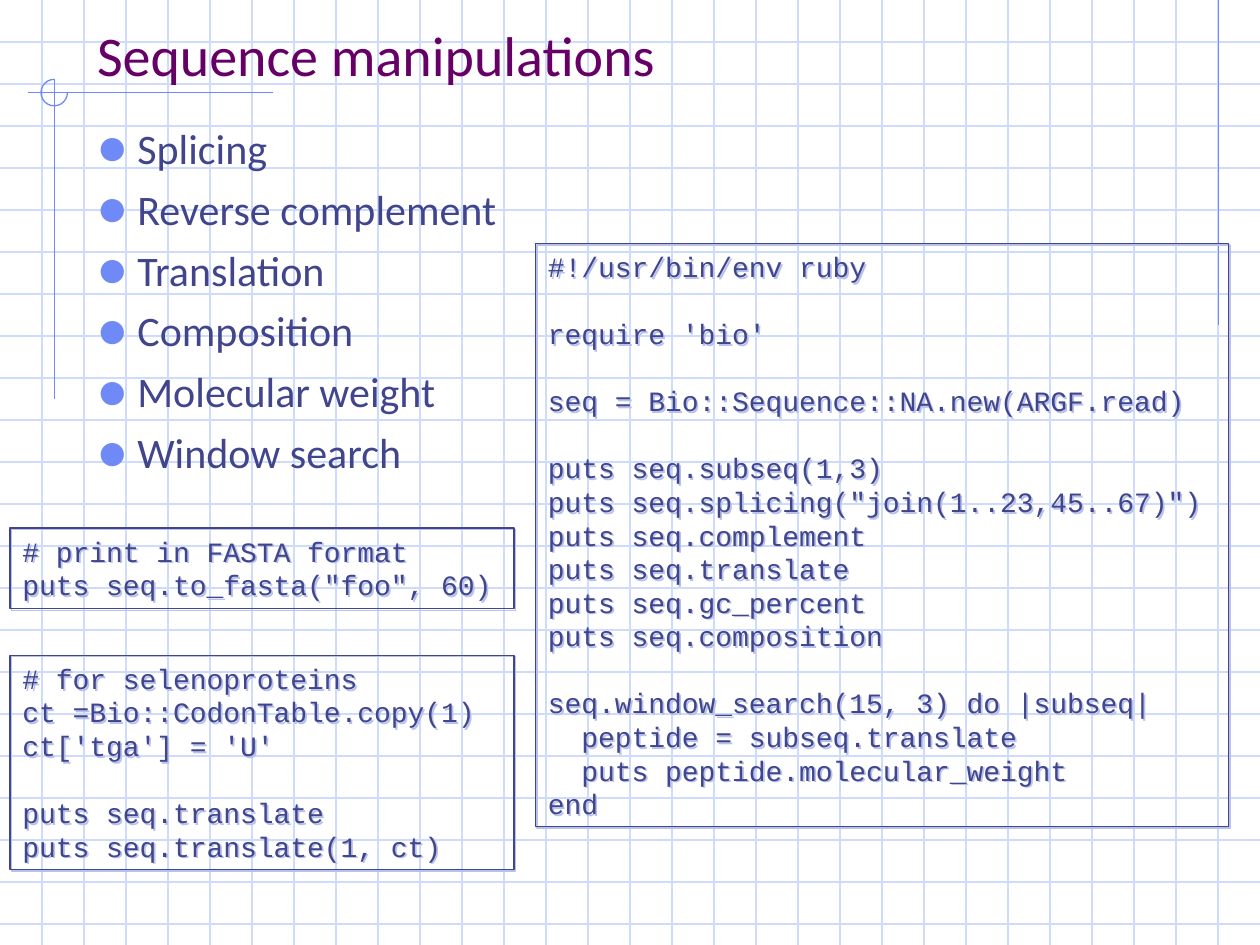
from dataclasses import dataclass

import lxml.etree
import pptx
import pptx.dml.color
import pptx.enum.shapes
import pptx.enum.text
import pptx.oxml.ns
import pptx.util

Inches = pptx.util.Inches
Pt = pptx.util.Pt
qn = pptx.oxml.ns.qn


@dataclass(frozen=True)
class Theme:
    grid: str = "CFDBFD"
    accent: str = "6F89F7"
    text: str = "40458C"
    title: str = "660066"
    shadow: str = "B7C1EB"
    body_font: str = "Calibri"
    code_font: str = "Courier New"
    title_size: float = 32
    body_size: float = 24
    code_size: float = 16
    line_width: float = 0.75
    line_factor: float = 1.2


THEME = Theme()
WIDTH, HEIGHT = 10, 7.5
GRID_CELLS_PER_INCH = 3

TOPICS = [
    "Splicing",
    "Reverse complement",
    "Translation",
    "Composition",
    "Molecular weight",
    "Window search",
]

SEQUENCE_CODE = """#!/usr/bin/env ruby

require 'bio'

seq = Bio::Sequence::NA.new(ARGF.read)

puts seq.subseq(1,3)
puts seq.splicing("join(1..23,45..67)")
puts seq.complement
puts seq.translate
puts seq.gc_percent
puts seq.composition

seq.window_search(15, 3) do |subseq|
  peptide = subseq.translate
  puts peptide.molecular_weight
end"""

SELENOPROTEIN_CODE = """# for selenoproteins
ct =Bio::CodonTable.copy(1)
ct['tga'] = 'U'

puts seq.translate
puts seq.translate(1, ct)"""

FASTA_CODE = """# print in FASTA format
puts seq.to_fasta("foo", 60)"""


def apply_format(target, values):
    for name, value in values.items():
        setattr(target, name, value)


def place(shape, box):
    names = ("left", "top", "width", "height")
    apply_format(shape, dict(zip(names, map(Inches, box))))


def format_frame(frame, anchor, auto_size):
    apply_format(frame, {
        "word_wrap": True,
        "vertical_anchor": anchor,
        "auto_size": auto_size,
        "margin_left": Inches(0.1),
        "margin_right": Inches(0.1),
        "margin_top": Inches(0.05),
        "margin_bottom": Inches(0.05),
    })


def write_line(paragraph, text, font, size, color, space_before=0):
    apply_format(paragraph, {
        "alignment": pptx.enum.text.PP_ALIGN.LEFT,
        "line_spacing": Pt(size * THEME.line_factor),
        "space_before": Pt(space_before),
        "space_after": Pt(0),
    })
    run = paragraph.add_run()
    run.text = text
    apply_format(run.font, {"name": font, "size": Pt(size), "bold": False})
    run.font.color.rgb = pptx.dml.color.RGBColor.from_string(color)


def next_paragraph(frame, index):
    return frame.paragraphs[0] if index == 0 else frame.add_paragraph()


def style_line(line, color):
    line.color.rgb = pptx.dml.color.RGBColor.from_string(color)
    line.width = Pt(THEME.line_width)


def add_line(slide, start, end, color):
    connector = slide.shapes.add_connector(
        pptx.enum.shapes.MSO_CONNECTOR.STRAIGHT, *map(Inches, start + end))
    style_line(connector.line, color)
    properties = connector.element.find(qn("p:spPr"))
    lxml.etree.SubElement(properties, qn("a:effectLst"))


def add_grid(slide, box):
    left, top, width, height = box
    for step in range(1, int(height * GRID_CELLS_PER_INCH) + 1):
        y = top + step / GRID_CELLS_PER_INCH
        add_line(slide, (left, y), (left + width, y), THEME.grid)
    for step in range(1, int(width * GRID_CELLS_PER_INCH)):
        x = left + step / GRID_CELLS_PER_INCH
        add_line(slide, (x, top), (x, top + height), THEME.grid)


def add_corner_mark(slide, box):
    left, top, width, height = box
    radius = 0.105
    center_x, center_y = left + 0.21, top + radius
    add_line(slide, (left + width, center_y), (left, center_y), THEME.accent)
    add_line(slide, (center_x, top), (center_x, top + height), THEME.accent)
    arc = slide.shapes.add_shape(
        pptx.enum.shapes.MSO_SHAPE.ARC,
        *map(Inches, (center_x - radius, top, 2 * radius, 2 * radius)))
    arc.adjustments[0] = 0
    arc.adjustments[1] = 270 * 0.6
    arc.shadow.inherit = False
    arc.fill.background()
    style_line(arc.line, THEME.accent)


def add_title(slide, box, text):
    title = slide.shapes.title
    slide.shapes.element.append(title.element)
    place(title, box)
    format_frame(title.text_frame, pptx.enum.text.MSO_ANCHOR.BOTTOM,
                 pptx.enum.text.MSO_AUTO_SIZE.NONE)
    write_line(title.text_frame.paragraphs[0], text,
               THEME.body_font, THEME.title_size, THEME.title)


def add_bullet(paragraph):
    properties = paragraph._p.get_or_add_pPr()
    indent = Inches(0.32)
    properties.set("marL", str(indent))
    properties.set("indent", str(-indent))
    color = lxml.etree.SubElement(properties, qn("a:buClr"))
    lxml.etree.SubElement(color, qn("a:srgbClr"), val=THEME.accent)
    lxml.etree.SubElement(properties, qn("a:buSzPct"), val="120000")
    lxml.etree.SubElement(properties, qn("a:buFont"), typeface=THEME.body_font)
    lxml.etree.SubElement(properties, qn("a:buChar"), char="●")


def add_topics(slide, box, topics):
    body = slide.placeholders[1]
    slide.shapes.element.append(body.element)
    place(body, box)
    format_frame(body.text_frame, pptx.enum.text.MSO_ANCHOR.TOP,
                 pptx.enum.text.MSO_AUTO_SIZE.NONE)
    for index, topic in enumerate(topics):
        paragraph = next_paragraph(body.text_frame, index)
        add_bullet(paragraph)
        write_line(paragraph, topic, THEME.body_font, THEME.body_size,
                   THEME.text, 6 if index else 0)


def add_code(slide, box, code):
    panel = slide.shapes.add_shape(
        pptx.enum.shapes.MSO_SHAPE.RECTANGLE, *map(Inches, box))
    panel.fill.background()
    style_line(panel.line, THEME.text)
    panel.shadow.inherit = False
    effects = panel.element.spPr.find(qn("a:effectLst"))
    shadow = lxml.etree.SubElement(
        effects, qn("a:outerShdw"), dist=str(Pt(1.4)), dir=str(45 * 60000))
    lxml.etree.SubElement(shadow, qn("a:srgbClr"), val=THEME.shadow)
    format_frame(panel.text_frame, pptx.enum.text.MSO_ANCHOR.TOP,
                 pptx.enum.text.MSO_AUTO_SIZE.SHAPE_TO_FIT_TEXT)
    lines = code.split("\n")
    for index, line in enumerate(lines):
        if line:
            after_gap = index > 0 and not lines[index - 1]
            gap = THEME.code_size * THEME.line_factor if after_gap else 0
            write_line(next_paragraph(panel.text_frame, index), line,
                       THEME.code_font, THEME.code_size, THEME.text, gap)


def main():
    presentation = pptx.Presentation()
    apply_format(presentation, {"slide_width": Inches(WIDTH), "slide_height": Inches(HEIGHT)})
    slide = presentation.slides.add_slide(presentation.slide_layouts[1])
    add_grid(slide, (0, 0, WIDTH, HEIGHT))
    add_line(slide, (9.67, 0), (9.67, 2.58), THEME.accent)
    add_corner_mark(slide, (0.22, 0.63, 1.95, 2.54))
    add_title(slide, (0.67, 0.25, 8.92, 0.5), "Sequence manipulations")
    add_topics(slide, (0.67, 0.92, 8.92, 5.83), TOPICS)
    add_code(slide, (4.25, 1.93, 5.5, 4.63), SEQUENCE_CODE)
    add_code(slide, (0.08, 5.2, 4, 1.7), SELENOPROTEIN_CODE)
    add_code(slide, (0.08, 4.19, 4, 0.64), FASTA_CODE)
    presentation.save("out.pptx")


if __name__ == "__main__":
    main()
